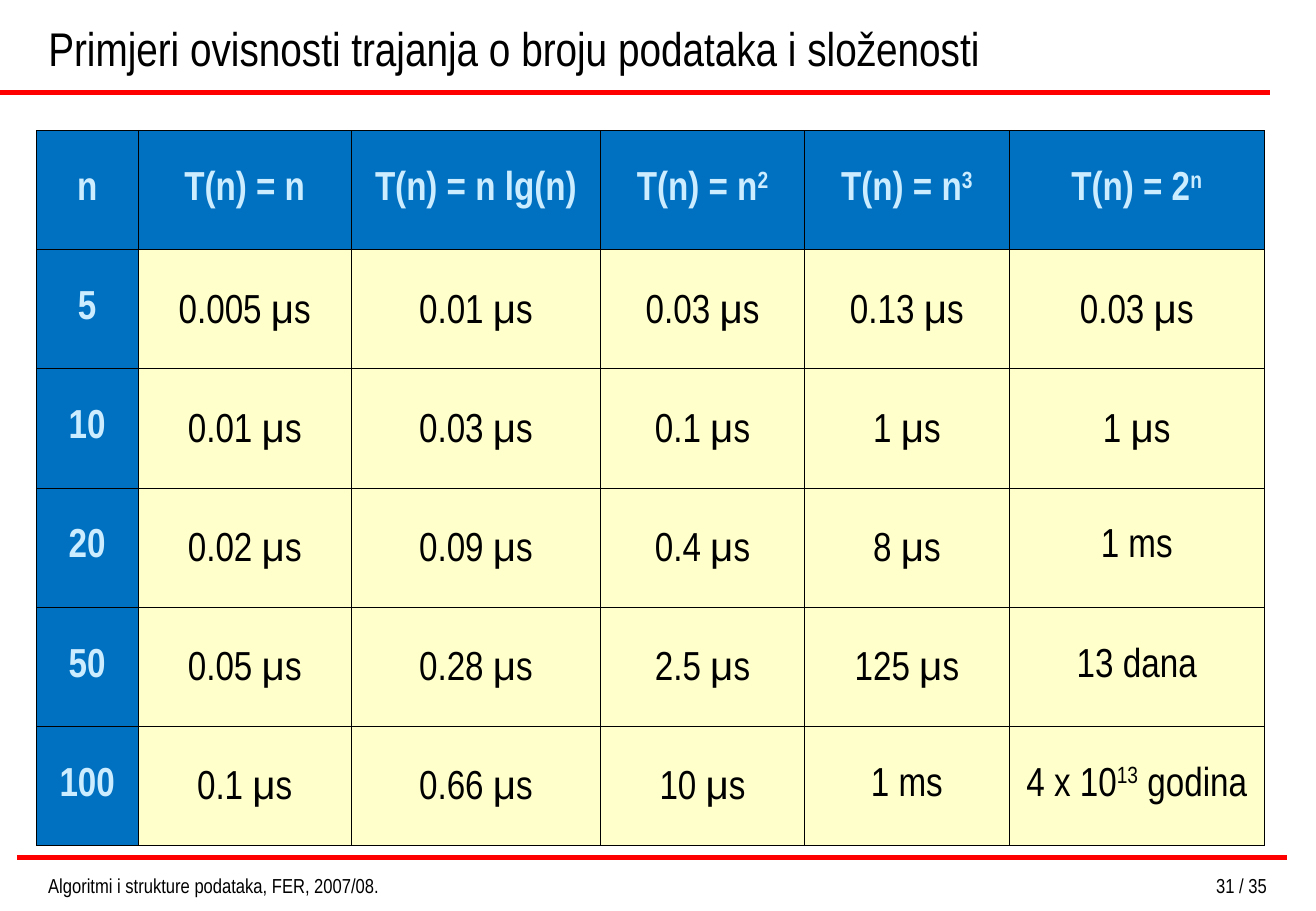
from itertools import groupby

from lxml import etree
from pptx import Presentation
from pptx.dml.color import RGBColor
from pptx.enum.shapes import MSO_CONNECTOR
from pptx.enum.text import MSO_ANCHOR, MSO_AUTO_SIZE, PP_ALIGN
from pptx.oxml.ns import qn
from pptx.util import Pt

STRAIGHT = MSO_CONNECTOR.STRAIGHT
LEFT, CENTER, RIGHT = PP_ALIGN.LEFT, PP_ALIGN.CENTER, PP_ALIGN.RIGHT
TOP, MIDDLE, BOTTOM = MSO_ANCHOR.TOP, MSO_ANCHOR.MIDDLE, MSO_ANCHOR.BOTTOM
NO_AUTOFIT = MSO_AUTO_SIZE.NONE

BLACK = RGBColor(0x00, 0x00, 0x00)
RED = RGBColor(0xFF, 0x00, 0x00)
BLUE = RGBColor(0x00, 0x70, 0xC0)
PALE_BLUE = RGBColor(0xCC, 0xEC, 0xFF)
PALE_YELLOW = RGBColor(0xFF, 0xFF, 0xCC)

TITLE_FONT = {"name": "Arial Narrow", "size": Pt(28), "bold": False}
HEADING_FONT = {"name": "Arial Narrow", "size": Pt(24), "bold": True}
VALUE_FONT = {"name": "Arial Narrow", "size": Pt(24), "bold": False}
FOOTER_FONT = {"name": "Arial Narrow", "size": Pt(12), "bold": False}

COLUMN_WIDTHS = (60.2, 126.7, 147.6, 121.2, 121.2, 151.5)
# Text between carets is superscript.
DURATIONS = (
    ("n", "T(n) = n", "T(n) = n lg(n)", "T(n) = n^2", "T(n) = n^3", "T(n) = 2^n"),
    ("5", "0.005 μs", "0.01 μs", "0.03 μs", "0.13 μs", "0.03 μs"),
    ("10", "0.01 μs", "0.03 μs", "0.1 μs", "1 μs", "1 μs"),
    ("20", "0.02 μs", "0.09 μs", "0.4 μs", "8 μs", "1 ms"),
    ("50", "0.05 μs", "0.28 μs", "2.5 μs", "125 μs", "13 dana"),
    ("100", "0.1 μs", "0.66 μs", "10 μs", "1 ms", "4 x 10^13^ godina"),
)


def write_text(text_frame, text, font_format, color, alignment):
    """Write one paragraph, with μ in Arial and text between carets raised."""
    paragraph = text_frame.paragraphs[0]
    paragraph.alignment = alignment
    for position, piece in enumerate(text.split("^")):
        for is_mu, letters in groupby(piece, key=lambda letter: letter == "μ"):
            run = paragraph.add_run()
            run.text = "".join(letters)
            for attribute, value in font_format.items():
                setattr(run.font, attribute, value)
            run.font.color.rgb = color
            if is_mu:
                run.font.name = "Arial"
            if position % 2:
                run._r.get_or_add_rPr().set("baseline", "30000")


def place(shape, box):
    for attribute, value in zip(("left", "top", "width", "height"), box):
        setattr(shape, attribute, Pt(value))


def add_title(slide, box, text):
    title = slide.shapes.title
    place(title, box)
    frame = title.text_frame
    frame.auto_size = NO_AUTOFIT
    frame.vertical_anchor = BOTTOM
    write_text(frame, text, TITLE_FONT, BLACK, LEFT)


def add_rule(slide, left, top, width):
    rule = slide.shapes.add_connector(
        STRAIGHT, Pt(left), Pt(top), Pt(left + width), Pt(top))
    rule.line.color.rgb = RED
    rule.line.width = Pt(3)
    etree.SubElement(rule._element.spPr, qn("a:effectLst"))


def add_borders(cell):
    properties = cell._tc.get_or_add_tcPr()
    for side in ("a:lnL", "a:lnR", "a:lnT", "a:lnB"):
        line = etree.SubElement(properties, qn(side), w=str(Pt(0.34)))
        fill = etree.SubElement(line, qn("a:solidFill"))
        etree.SubElement(fill, qn("a:srgbClr"), val=str(BLACK))


def add_duration_table(slide, box):
    left, top, width, height = box
    table = slide.shapes.add_table(
        len(DURATIONS), len(COLUMN_WIDTHS),
        Pt(left), Pt(top), Pt(width), Pt(height)).table
    table.first_row = table.horz_banding = False
    for column, column_width in zip(table.columns, COLUMN_WIDTHS):
        column.width = Pt(column_width)
    for row_index, row in enumerate(DURATIONS):
        for column_index, text in enumerate(row):
            cell = table.cell(row_index, column_index)
            is_heading = row_index == 0 or column_index == 0
            add_borders(cell)
            cell.fill.solid()
            cell.fill.fore_color.rgb = BLUE if is_heading else PALE_YELLOW
            cell.vertical_anchor = MIDDLE
            write_text(cell.text_frame, text,
                       HEADING_FONT if is_heading else VALUE_FONT,
                       PALE_BLUE if is_heading else BLACK, CENTER)


def add_footer_text(slide, box, text, alignment):
    text_box = slide.shapes.add_textbox(*map(Pt, box))
    frame = text_box.text_frame
    frame.word_wrap = True
    frame.auto_size = NO_AUTOFIT
    frame.vertical_anchor = TOP
    write_text(frame, text, FOOTER_FONT, BLACK, alignment)


def main():
    presentation = Presentation()
    presentation.slide_width, presentation.slide_height = Pt(780.48), Pt(540)
    slide = presentation.slides.add_slide(presentation.slide_layouts[5])
    add_rule(slide, 0, 54.6, 753)
    add_rule(slide, 10.2, 508.5, 753)
    add_title(slide, (21.5, 0, 731.5, 48.6),
              "Primjeri ovisnosti trajanja o broju podataka i složenosti")
    add_duration_table(slide, (21.6, 77.3, sum(COLUMN_WIDTHS), 423.8))
    add_footer_text(slide, (21.5, 514.4, 272, 17.3),
                    "Algoritmi i strukture podataka, FER, 2007/08.", LEFT)
    add_footer_text(slide, (559, 514.4, 199.5, 17.3), "31 / 35", RIGHT)
    presentation.save("out.pptx")


if __name__ == "__main__":
    main()
